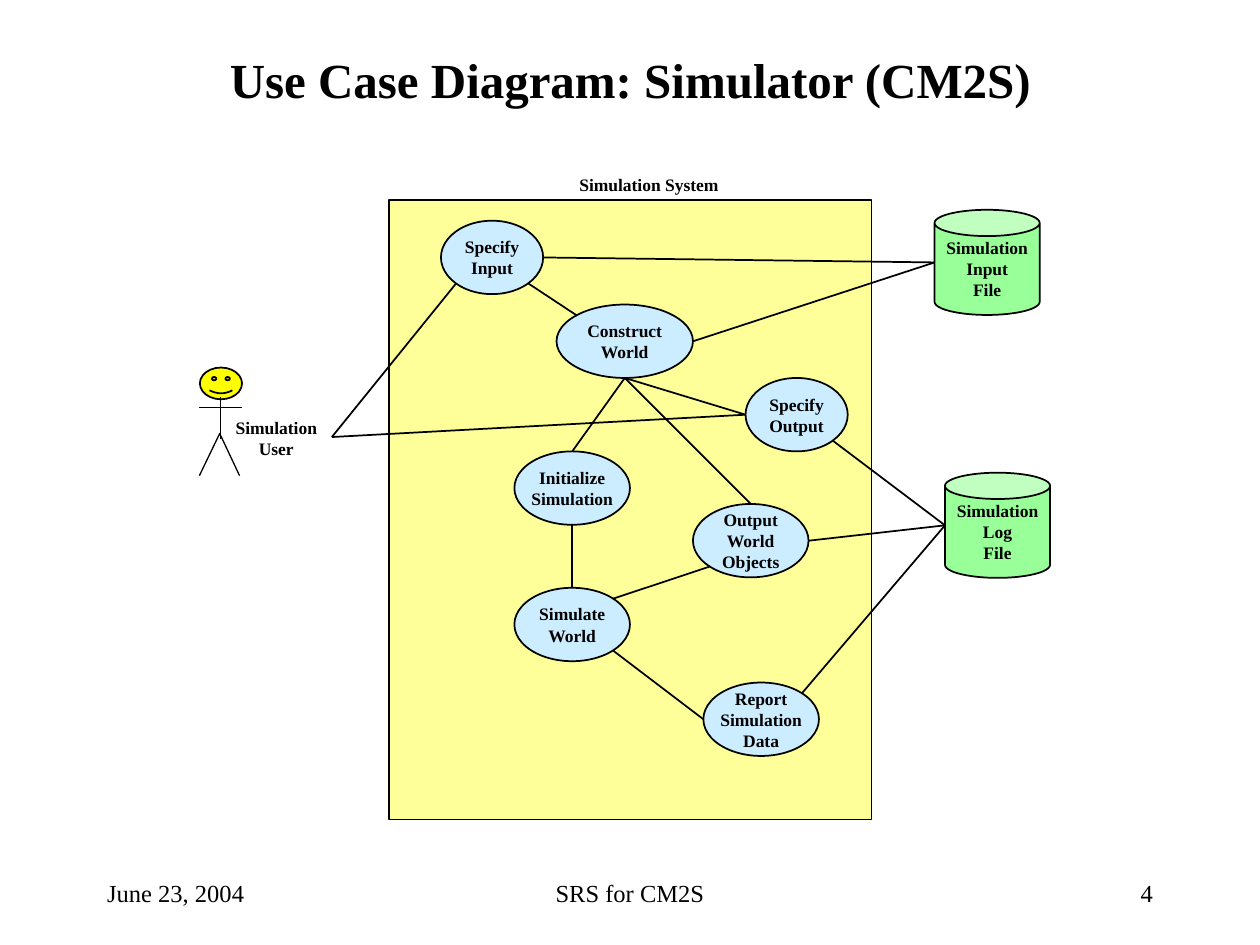
from lxml import etree
from pptx import Presentation
from pptx.dml.color import RGBColor
from pptx.enum.shapes import MSO_CONNECTOR, MSO_SHAPE
from pptx.enum.text import MSO_ANCHOR, PP_ALIGN
from pptx.oxml.ns import qn
from pptx.util import Cm, Pt

RECT, OVAL, CAN, SMILEY = (MSO_SHAPE.RECTANGLE, MSO_SHAPE.OVAL,
                           MSO_SHAPE.CAN, MSO_SHAPE.SMILEY_FACE)
STRAIGHT = MSO_CONNECTOR.STRAIGHT
LEFT, CENTER, RIGHT = PP_ALIGN.LEFT, PP_ALIGN.CENTER, PP_ALIGN.RIGHT
TOP, MIDDLE = MSO_ANCHOR.TOP, MSO_ANCHOR.MIDDLE

presentation = Presentation()
presentation.slide_width, presentation.slide_height = Cm(25.4), Cm(19.05)
slide = presentation.slides.add_slide(presentation.slide_layouts[6])
shapes = slide.shapes


def paint(part, line_width, fill=None):
    """Black outline, and a fill where the part has one."""
    part.line.color.rgb = RGBColor.from_string("000000")
    part.line.width = Pt(line_width)
    if fill:
        part.fill.solid()
        part.fill.fore_color.rgb = RGBColor.from_string(fill)


def write(text, box=None, holder=None, size=10, bold=True, align=CENTER,
          anchor=MIDDLE, wrap=False):
    """Write one paragraph per line, in a shape or in a new text box."""
    holder = holder or shapes.add_textbox(*map(Cm, box))
    frame = holder.text_frame
    frame.text = text
    frame.word_wrap = wrap
    frame.vertical_anchor = anchor
    frame.margin_left = frame.margin_right = Cm(0.254)
    frame.margin_top = frame.margin_bottom = Cm(0.127)
    for paragraph in frame.paragraphs:
        paragraph.alignment = align
        paragraph.font.name = "Times New Roman"
        paragraph.font.size = Pt(size)
        paragraph.font.bold = bold
        paragraph.font.color.rgb = RGBColor.from_string("000000")


# Title
write("Use Case Diagram: Simulator (CM2S)", (1.91, 0.85, 21.59, 1.48),
      size=28, wrap=True)

# System boundary, with its label on top and room for one line
boundary = shapes.add_shape(RECT, Cm(7.84), Cm(4.03), Cm(9.73), Cm(12.49))
boundary.shadow.inherit = False
paint(boundary, 1, "FFFF99")
write("Simulation System", (11.43, 3.39, 3.6, 0.69), align=LEFT, anchor=TOP,
      wrap=True)

# Use cases and files: key, text, preset, fill, left, top, width, height
USE_CASE = (OVAL, "CCECFF")
FILE = (CAN, "99FF99")
nodes = {}
for key, text, (preset, fill), *box in [
    ("construct", "Construct\nWorld", USE_CASE, 11.22, 6.14, 2.75, 1.48),
    ("input", "Specify\nInput", USE_CASE, 8.89, 4.45, 2.06, 1.48),
    ("simulate", "Simulate\nWorld", USE_CASE, 10.37, 11.85, 2.33, 1.48),
    ("objects", "Output\nWorld\nObjects", USE_CASE, 13.97, 10.16, 2.33, 1.48),
    ("report", "Report\nSimulation\nData", USE_CASE, 14.18, 13.76, 2.33, 1.48),
    ("initialize", "Initialize\nSimulation", USE_CASE, 10.37, 9.1, 2.33, 1.48),
    ("output", "Specify\nOutput", USE_CASE, 15.03, 7.62, 2.06, 1.48),
    ("input file", "Simulation\nInput\nFile", FILE, 18.84, 4.23, 2.12, 2.12),
    ("log file", "Simulation\nLog\nFile", FILE, 19.05, 9.53, 2.12, 2.12),
]:
    node = shapes.add_shape(preset, *map(Cm, box))
    node.shadow.inherit = False
    paint(node, 1, fill)
    write(text, holder=node)
    nodes[key] = box

# Simulation user: label, legs and head
write("Simulation\nUser", (4.45, 8.28, 2.24, 1.12), anchor=TOP)
builder = shapes.build_freeform(Cm(4.02), Cm(9.59))
builder.add_line_segments([(Cm(4.43), Cm(8.74)), (Cm(4.83), Cm(9.59))], close=False)
legs = builder.convert_to_shape()
legs.shadow.inherit = False
legs.fill.background()
paint(legs, 0.75)
head = shapes.add_shape(SMILEY, Cm(4.03), Cm(7.41), Cm(0.85), Cm(0.64))
head.shadow.inherit = False
paint(head, 1, "FFFF00")

# Points on a node's outline, as fractions of its width and height
SITES = {"n": (0.5, 0), "s": (0.5, 1), "w": (0, 0.5), "e": (1, 0.5),
         "ne": (0.85, 0.15), "sw": (0.15, 0.85), "se": (0.85, 0.85),
         "nw": (0.15, 0.15)}
USER = (6.69, 8.81)
segments = [
    ((4.45, 8), (4.45, 8.84), 0.75),       # body
    ((4.02, 8.21), (4.87, 8.21), 0.75),    # arms
]

# Associations between the user, use cases and files
for *ends, in [
    (("objects", "n"), ("construct", "s")),
    (("input", "se"), ("construct", "nw")),
    (("output", "w"), ("construct", "s")),
    (("log file", "w"), ("output", "se")),
    (("construct", "s"), ("initialize", "n")),
    (("input file", "w"), ("construct", "e")),
    (("input file", "w"), ("input", "e")),
    (("log file", "w"), ("objects", "e")),
    (("log file", "w"), ("report", "ne")),
    (("objects", "sw"), ("simulate", "ne")),
    (("report", "w"), ("simulate", "se")),
    (("simulate", "n"), ("initialize", "s")),
    (("input", "sw"), USER),
    (("output", "w"), USER),
]:
    points = []
    for end in ends:
        if end != USER:
            left, top, width, height = nodes[end[0]]
            across, down = SITES[end[1]]
            end = (left + across * width, top + down * height)
        points.append(end)
    segments.append((*points, 1))

for start, finish, line_width in segments:
    link = shapes.add_connector(STRAIGHT, *map(Cm, start + finish))
    paint(link, line_width)
    etree.SubElement(link._element.spPr, qn("a:effectLst"))

# Footer
for text, left, width, align in [
    ("June 23, 2004", 1.91, 5.29, LEFT),
    ("SRS for CM2S", 8.68, 8.04, CENTER),
    ("4", 18.2, 5.29, RIGHT),
]:
    write(text, (left, 17.36, width, 1.27), size=14, bold=False, align=align,
          wrap=True)

presentation.save("out.pptx")
